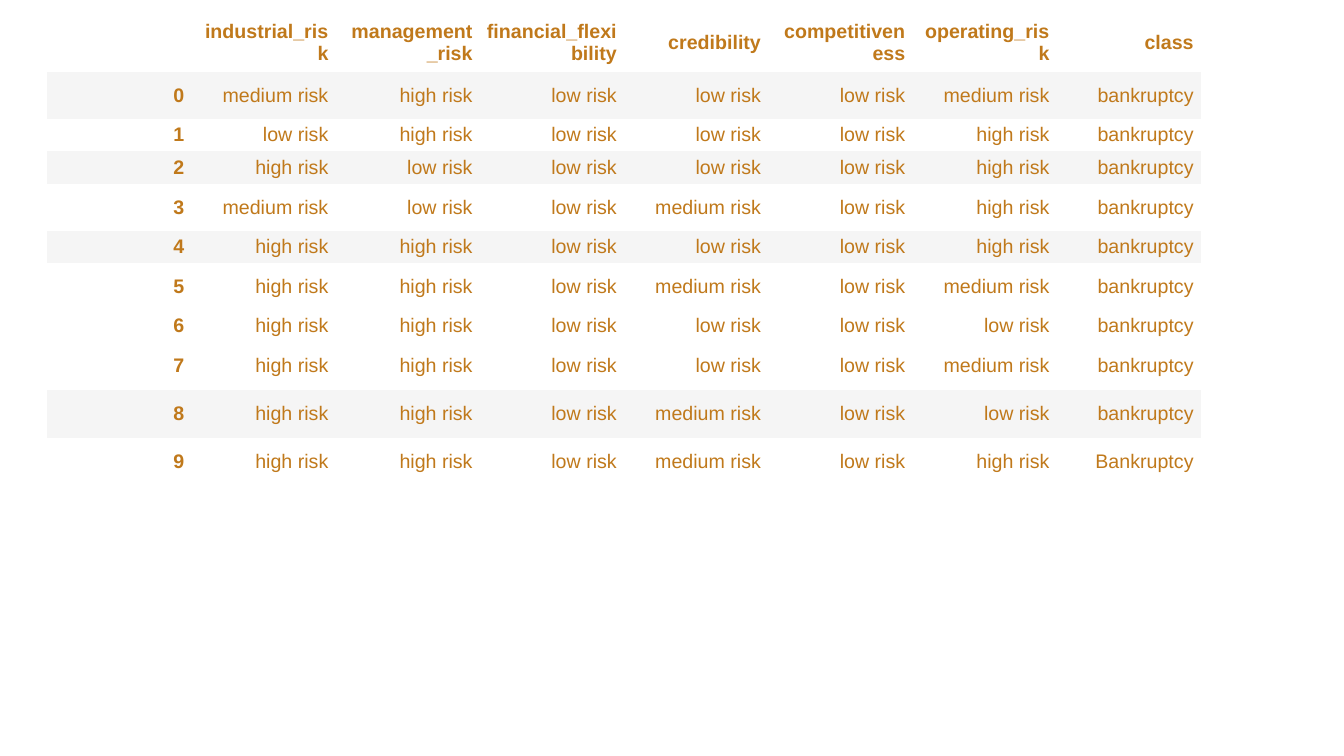
import pptx
import pptx.util
import pptx.dml.color
import pptx.enum.text

HEAD = ["", "industrial_risk", "management_risk", "financial_flexibility",
        "credibility", "competitiveness", "operating_risk", "class"]
LOW, MID, HIGH = "low risk", "medium risk", "high risk"
BROKE = "bankruptcy"
ROWS = [
    (MID, HIGH, LOW, LOW, LOW, MID, BROKE),
    (LOW, HIGH, LOW, LOW, LOW, HIGH, BROKE),
    (HIGH, LOW, LOW, LOW, LOW, HIGH, BROKE),
    (MID, LOW, LOW, MID, LOW, HIGH, BROKE),
    (HIGH, HIGH, LOW, LOW, LOW, HIGH, BROKE),
    (HIGH, HIGH, LOW, MID, LOW, MID, BROKE),
    (HIGH, HIGH, LOW, LOW, LOW, LOW, BROKE),
    (HIGH, HIGH, LOW, LOW, LOW, MID, BROKE),
    (HIGH, HIGH, LOW, MID, LOW, LOW, BROKE),
    (HIGH, HIGH, LOW, MID, LOW, HIGH, "Bankruptcy"),
]
TALL = [58, 47, 32, 33, 47, 32, 47, 32, 48, 48, 47]
GREY = {0, 2, 4, 8}
LEFT, TOP, WIDE = 47, 14, 1154
PLAIN = "{2D5ABB26-0587-4C30-8999-92F81FD0307C}"


def px(count):
    return pptx.util.Emu(round(count * 914400 / 100.8))


def tint(code):
    return pptx.dml.color.RGBColor.from_string(code)


def put(item, form):
    for name, value in form.items():
        setattr(item, name, value)


CELL = {"margin_left": px(7), "margin_right": px(7),
        "margin_top": px(4), "margin_bottom": px(4),
        "vertical_anchor": pptx.enum.text.MSO_ANCHOR.MIDDLE}
FONT = {"name": "Arial", "size": pptx.util.Pt(14)}

deck = pptx.Presentation()
put(deck, {"slide_width": px(1344), "slide_height": px(756)})
slide = deck.slides.add_slide(deck.slide_layouts[6])

grid = [HEAD] + [(str(num), *row) for num, row in enumerate(ROWS)]
frame = slide.shapes.add_table(len(grid), len(HEAD), px(LEFT), px(TOP),
                               px(WIDE), px(sum(TALL)))
table = frame.table
put(table, {"first_row": False, "horz_banding": False})
for node in frame.element.iter("{*}tableStyleId"):
    node.text = PLAIN
for col in table.columns:
    col.width = px(WIDE / len(HEAD))

for r, line in enumerate(grid):
    table.rows[r].height = px(TALL[r])
    for c, text in enumerate(line):
        cell = table.cell(r, c)
        put(cell, CELL)
        if r - 1 in GREY:
            cell.fill.solid()
            cell.fill.fore_color.rgb = tint("F5F5F5")
        else:
            cell.fill.background()
        if text:
            para = cell.text_frame.paragraphs[0]
            para.alignment = pptx.enum.text.PP_ALIGN.RIGHT
            run = para.add_run()
            run.text = text
            put(run.font, FONT)
            run.font.bold = r == 0 or c == 0
            run.font.color.rgb = tint("C0791B")

deck.save("out.pptx")
